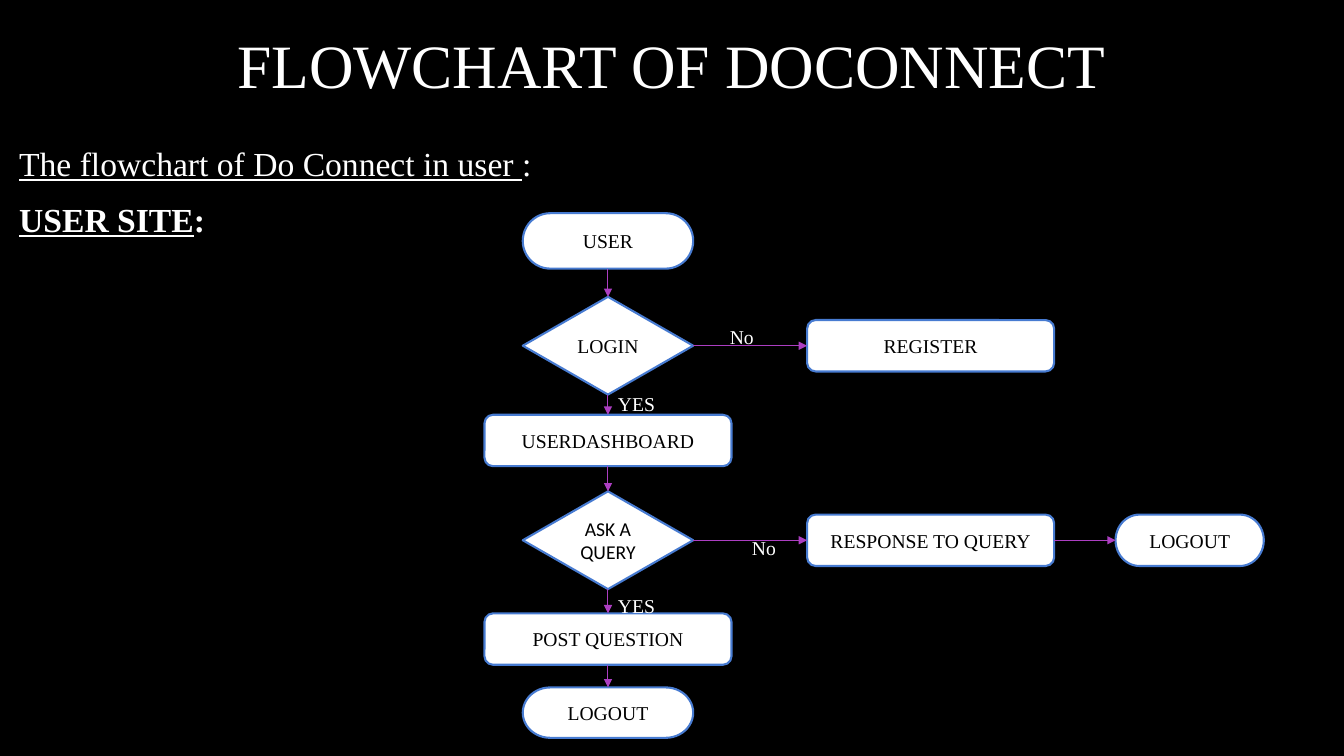
from lxml import etree
from pptx import Presentation
from pptx import util as u
from pptx.dml.color import RGBColor
from pptx.enum import shapes, text
from pptx.oxml.ns import qn

COLORS = {"background": "000000", "light": "FFFFFF", "dark": "000000",
          "outline": "477BD1", "arrow": "AC3EC1"}
SERIF = "Times New Roman"
TERMINAL = shapes.MSO_SHAPE.FLOWCHART_TERMINATOR
DECISION = shapes.MSO_SHAPE.FLOWCHART_DECISION
STEP = shapes.MSO_SHAPE.ROUNDED_RECTANGLE
TOP, LEFT, BOTTOM, RIGHT = range(4)


def color(name):
    return RGBColor.from_string(COLORS[name])


def set_font(paragraph, size, ink, face=SERIF):
    paragraph.font.size = u.Pt(size)
    paragraph.font.name = face
    paragraph.font.color.rgb = color(ink)


def place(placeholder, box):
    placeholder.left, placeholder.top, placeholder.width, placeholder.height = map(u.Inches, box)
    frame = placeholder.text_frame
    frame.auto_size = text.MSO_AUTO_SIZE.NONE
    frame.vertical_anchor = text.MSO_ANCHOR.MIDDLE
    return frame


def fill_title(slide, box):
    frame = place(slide.shapes.title, box)
    frame.text = "FLOWCHART OF DOCONNECT"
    heading = frame.paragraphs[0]
    heading.alignment = text.PP_ALIGN.CENTER
    set_font(heading, 44, "light")


def fill_intro(slide, box):
    frame = place(slide.placeholders[1], box)
    frame.margin_bottom = u.Inches(0.57)
    lines = [("The flowchart of Do Connect in user ", False), ("USER SITE", True)]
    for index, (wording, bold) in enumerate(lines):
        line = frame.add_paragraph() if index else frame.paragraphs[0]
        properties = line._p.get_or_add_pPr()
        properties.set("marL", "0")
        properties.set("indent", "0")
        etree.SubElement(properties, qn("a:buNone"))
        line.alignment = text.PP_ALIGN.LEFT
        line.space_before = u.Pt(0)
        line.space_after = u.Pt(11)
        set_font(line, 24, "light")
        line.font.bold = bold
        underlined = line.add_run()
        underlined.text = wording
        underlined.font.underline = True
        line.add_run().text = ":"


def add_node(slide, kind, wording, center, middle, width, height, face=SERIF):
    node = slide.shapes.add_shape(kind, u.Inches(center - width / 2), u.Inches(middle - height / 2),
                                  u.Inches(width), u.Inches(height))
    node.shadow.inherit = False
    node.fill.solid()
    node.fill.fore_color.rgb = color("light")
    node.line.color.rgb = color("outline")
    node.line.width = u.Pt(1.5)
    frame = node.text_frame
    frame.word_wrap = True
    frame.vertical_anchor = text.MSO_ANCHOR.MIDDLE
    frame.text = wording
    frame.paragraphs[0].alignment = text.PP_ALIGN.CENTER
    set_font(frame.paragraphs[0], 14, "dark", face)
    return node


def add_arrow(slide, source, source_site, target, target_site):
    arrow = slide.shapes.add_connector(shapes.MSO_CONNECTOR.STRAIGHT, 0, 0, 0, 0)
    arrow.begin_connect(source, source_site)
    arrow.end_connect(target, target_site)
    arrow.line.color.rgb = color("arrow")
    arrow.line.width = u.Pt(0.75)
    etree.SubElement(arrow.line._get_or_add_ln(), qn("a:tailEnd"), type="triangle")
    etree.SubElement(arrow._element.spPr, qn("a:effectLst"))


def add_answer(slide, wording, left, top, width, wrap):
    answer = slide.shapes.add_textbox(u.Inches(left), u.Inches(top), u.Inches(width), u.Inches(0.34))
    frame = answer.text_frame
    frame.word_wrap = wrap
    frame.auto_size = text.MSO_AUTO_SIZE.SHAPE_TO_FIT_TEXT
    frame.text = wording
    set_font(frame.paragraphs[0], 14, "light")


def add_flowchart(slide, box):
    left, top, width, height = box
    main_x, side_x, end_x = left + 1.22, left + 4.42, left + width - 0.74
    login_y, ask_y = top + 1.32, top + 3.25

    main_nodes = [
        add_node(slide, kind, wording, main_x, middle, node_width, node_height, face)
        for kind, wording, middle, node_width, node_height, face in [
            (TERMINAL, "USER", top + 0.28, 1.69, 0.55, SERIF),
            (DECISION, "LOGIN", login_y, 1.69, 0.97, SERIF),
            (STEP, "USERDASHBOARD", top + 2.26, 2.45, 0.51, SERIF),
            (DECISION, "ASK A QUERY", ask_y, 1.69, 0.97, "Calibri"),
            (STEP, "POST QUESTION", top + 4.23, 2.45, 0.51, SERIF),
            (TERMINAL, "LOGOUT", top + height - 0.25, 1.69, 0.5, SERIF),
        ]
    ]
    register = add_node(slide, STEP, "REGISTER", side_x, login_y, 2.45, 0.51)
    response = add_node(slide, STEP, "RESPONSE TO QUERY", side_x, ask_y, 2.45, 0.51)
    side_logout = add_node(slide, TERMINAL, "LOGOUT", end_x, ask_y, 1.47, 0.51)

    for upper, lower in zip(main_nodes, main_nodes[1:]):
        add_arrow(slide, upper, BOTTOM, lower, TOP)
    login, ask = main_nodes[1], main_nodes[3]
    for source, target in [(login, register), (ask, response), (response, side_logout)]:
        add_arrow(slide, source, RIGHT, target, LEFT)

    add_answer(slide, "No", left + 2.33, login_y - 0.26, 0.44, False)
    add_answer(slide, "No", left + 2.55, ask_y - 0.09, 0.44, False)
    add_answer(slide, "YES", main_x, login_y + 0.41, 0.84, True)
    add_answer(slide, "YES", main_x, ask_y + 0.48, 0.62, True)


def main():
    deck = Presentation()
    deck.slide_width, deck.slide_height = u.Inches(13.33), u.Inches(7.5)
    slide = deck.slides.add_slide(deck.slide_layouts[1])
    slide.background.fill.solid()
    slide.background.fill.fore_color.rgb = color("background")
    fill_title(slide, (0, 0.16, 13.33, 0.95))
    fill_intro(slide, (0.09, -0.02, 9.14, 4.35))
    add_flowchart(slide, (4.81, 2.11, 7.73, 5.21))
    deck.save("out.pptx")


if __name__ == "__main__":
    main()
